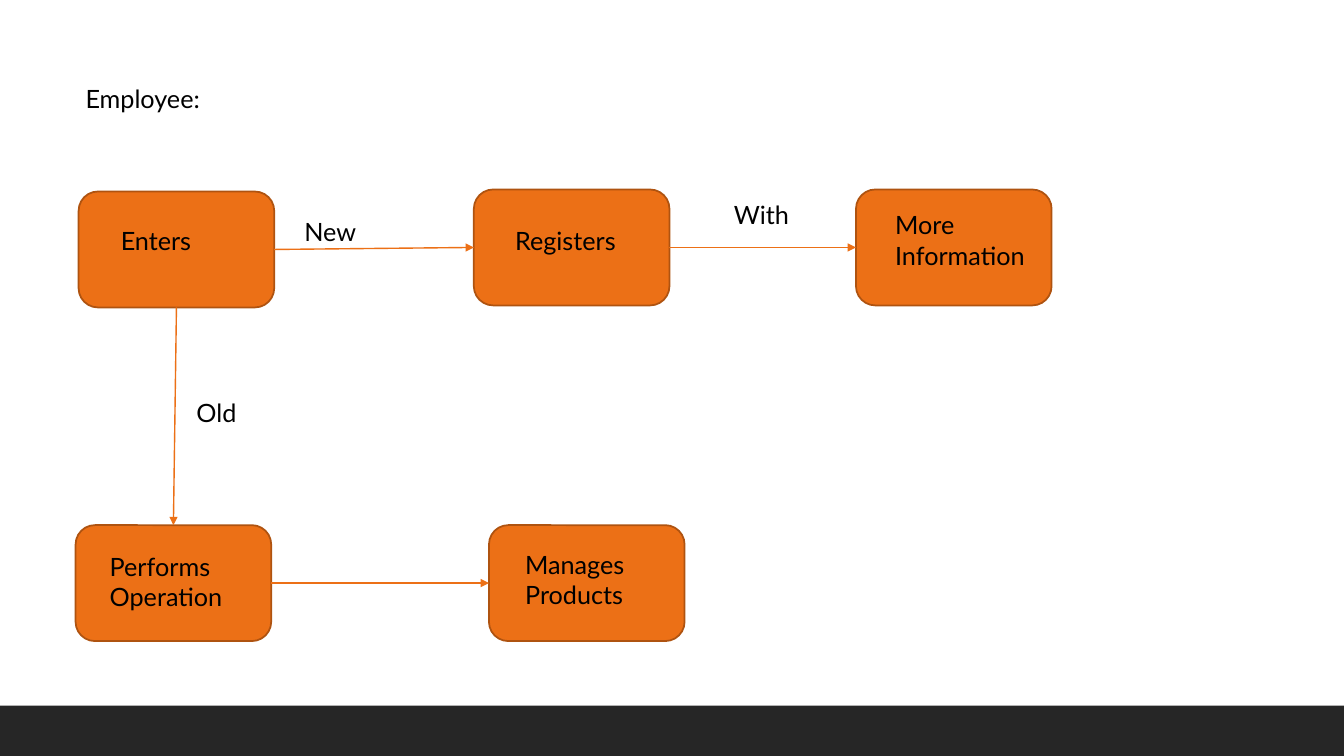
from dataclasses import dataclass

from lxml.etree import SubElement
from pptx import Presentation
from pptx.dml.color import RGBColor
from pptx.enum.shapes import MSO_CONNECTOR, MSO_SHAPE
from pptx.enum.text import MSO_AUTO_SIZE
from pptx.oxml.ns import qn
from pptx.shapes.autoshape import Shape
from pptx.slide import Slide
from pptx.util import Inches, Pt

ORANGE, DARK_ORANGE = "EC7016", "AF5310"
BLACK, CHARCOAL = "000000", "262626"
STEP_WIDTH, STEP_HEIGHT = 1.94, 1.15
TOP, LEFT, BOTTOM, RIGHT = range(4)


@dataclass
class Step:
    name: str
    left: float
    top: float


@dataclass
class Arrow:
    start: str
    start_side: int
    end: str
    end_side: int


@dataclass
class Label:
    text: str
    left: float
    top: float
    width: float
    height: float = 0.4


STEPS = [
    Step("Enters", 0.78, 1.9),
    Step("Registers", 4.7, 1.88),
    Step("More Information", 8.49, 1.88),
    Step("Performs Operation", 0.75, 5.21),
    Step("Manages Products", 4.85, 5.21),
]
ARROWS = [
    Arrow("Enters", RIGHT, "Registers", LEFT),
    Arrow("Registers", RIGHT, "More Information", LEFT),
    Arrow("Enters", BOTTOM, "Performs Operation", TOP),
    Arrow("Performs Operation", RIGHT, "Manages Products", LEFT),
]
LABELS = [
    Label("Employee:", 0.75, 0.78, 5.27),
    Label("Enters", 1.1, 2.19, 1.37),
    Label("More Information", 8.78, 2.03, 1.6, 0.71),
    Label("New", 2.92, 2.1, 1.46),
    Label("Old", 1.85, 3.89, 0.67),
    Label("Registers", 5.01, 2.19, 1.38),
    Label("Performs Operation", 0.99, 5.42, 1.53, 0.71),
    Label("Manages Products", 5.11, 5.4, 1.52, 0.71),
    Label("With", 7.18, 1.93, 1.06),
]


def color(value: str) -> RGBColor:
    return RGBColor.from_string(value)


def add_footer_band(slide: Slide) -> None:
    band = slide.shapes.add_shape(
        MSO_SHAPE.RECTANGLE, Inches(0), Inches(7), Inches(13.33), Inches(0.5))
    band.shadow.inherit = False
    band.fill.solid()
    band.fill.fore_color.rgb = color(CHARCOAL)
    band.line.fill.background()


def add_step(slide: Slide, step: Step) -> Shape:
    shape = slide.shapes.add_shape(
        MSO_SHAPE.ROUNDED_RECTANGLE, Inches(step.left), Inches(step.top),
        Inches(STEP_WIDTH), Inches(STEP_HEIGHT))
    shape.shadow.inherit = False
    shape.fill.solid()
    shape.fill.fore_color.rgb = color(ORANGE)
    shape.line.color.rgb = color(DARK_ORANGE)
    shape.line.width = Pt(1.25)
    return shape


def add_arrow(slide: Slide, arrow: Arrow, shapes: dict[str, Shape]) -> None:
    connector = slide.shapes.add_connector(
        MSO_CONNECTOR.STRAIGHT, Inches(0), Inches(0), Inches(1), Inches(1))
    connector.begin_connect(shapes[arrow.start], arrow.start_side)
    connector.end_connect(shapes[arrow.end], arrow.end_side)
    connector.line.color.rgb = color(ORANGE)
    connector.line.width = Pt(1)
    # Arrowhead at the end, and no shadow
    properties = connector.element.spPr
    SubElement(properties.find(qn("a:ln")), qn("a:tailEnd"), type="triangle")
    SubElement(properties, qn("a:effectLst"))


def add_label(slide: Slide, label: Label) -> None:
    box = slide.shapes.add_textbox(
        Inches(label.left), Inches(label.top),
        Inches(label.width), Inches(label.height))
    text_frame = box.text_frame
    text_frame.word_wrap = True
    text_frame.auto_size = MSO_AUTO_SIZE.SHAPE_TO_FIT_TEXT
    text_frame.text = label.text
    font = text_frame.paragraphs[0].runs[0].font
    font.name = "Lato"
    font.size = Pt(18)
    font.color.rgb = color(BLACK)


def main() -> None:
    presentation = Presentation()
    presentation.slide_width = Inches(13.33)
    presentation.slide_height = Inches(7.5)
    slide = presentation.slides.add_slide(presentation.slide_layouts[6])

    # Footer and flow boxes
    add_footer_band(slide)
    shapes = {step.name: add_step(slide, step) for step in STEPS}

    # Arrows between the boxes
    for arrow in ARROWS:
        add_arrow(slide, arrow, shapes)

    # Heading, box captions and arrow captions
    for label in LABELS:
        add_label(slide, label)

    presentation.save("out.pptx")


if __name__ == "__main__":
    main()
